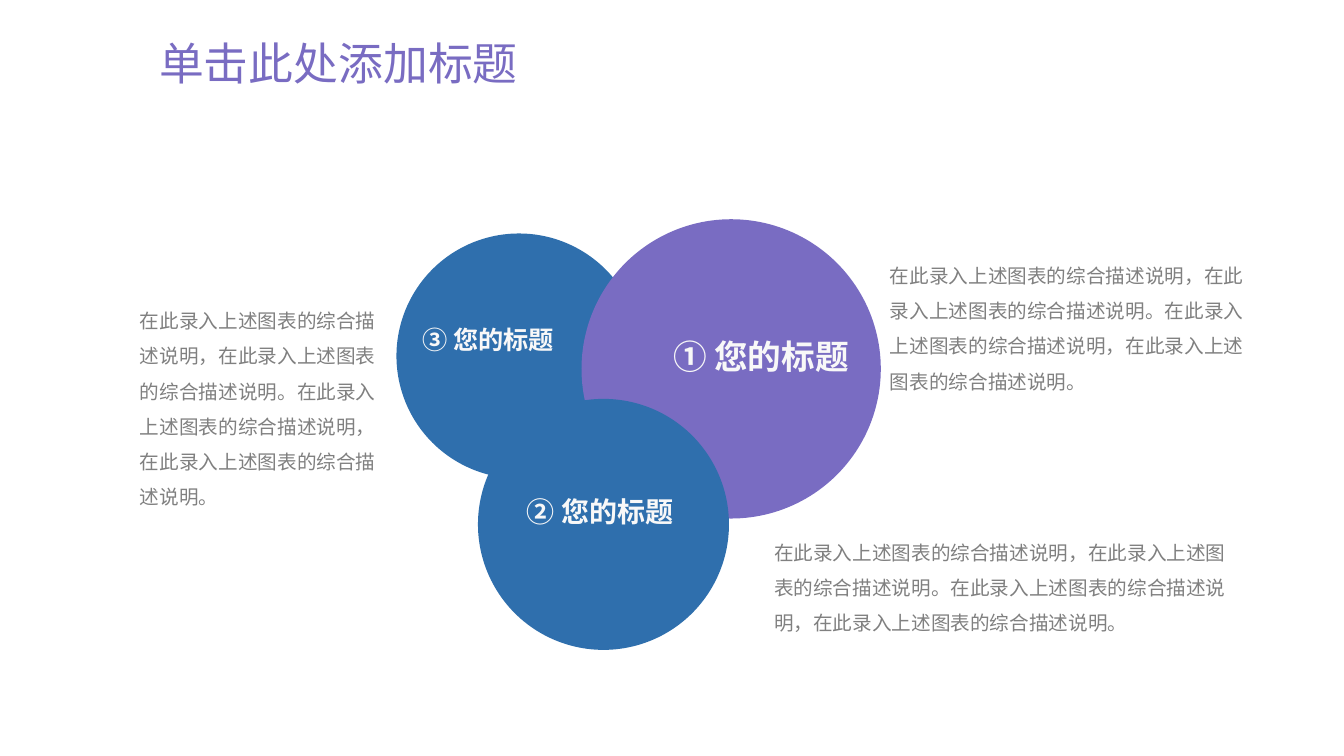
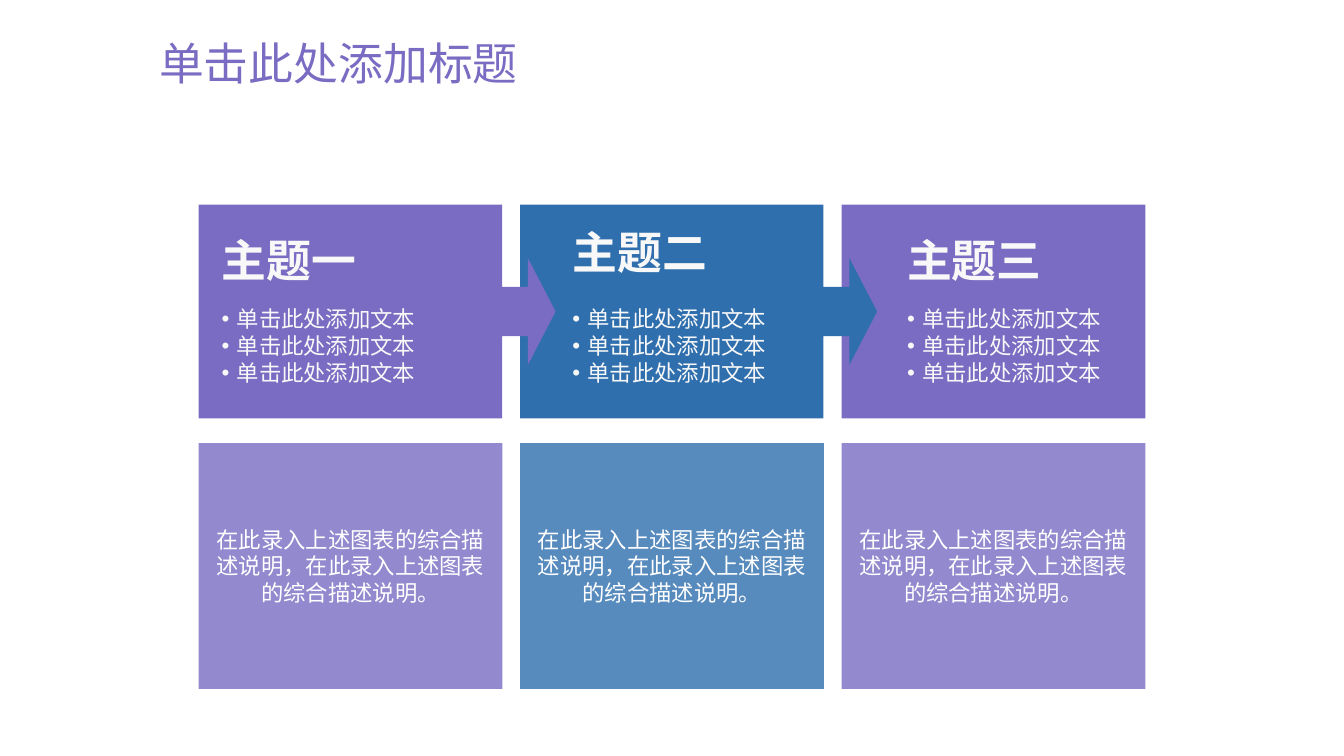
from lxml import etree
from pptx import Presentation
from pptx.dml.color import RGBColor
from pptx.enum.shapes import MSO_SHAPE
from pptx.enum.text import MSO_ANCHOR, PP_ALIGN
from pptx.oxml.ns import qn
from pptx.util import Pt

OVAL, RECTANGLE = MSO_SHAPE.OVAL, MSO_SHAPE.RECTANGLE
CALLOUT = MSO_SHAPE.RIGHT_ARROW_CALLOUT
TOP, MIDDLE = MSO_ANCHOR.TOP, MSO_ANCHOR.MIDDLE
LEFT, CENTER, RIGHT = PP_ALIGN.LEFT, PP_ALIGN.CENTER, PP_ALIGN.RIGHT

# Shared look
PURPLE, BLUE, GREY = "796CC2", "2F6FAD", "808080"
WHITE, OFF_WHITE = "FFFFFF", "F8F8F8"
CJK = "Noto Sans CJK SC"
TITLE = {"name": "Montserrat", "size": Pt(32), "color": PURPLE}
NOTE = {"name": "Arial", "size": Pt(14), "color": GREY}
HEADING = {"name": CJK, "size": Pt(32), "bold": True, "color": OFF_WHITE}
ITEM = {"name": CJK, "size": Pt(16), "color": OFF_WHITE}
PANEL = {"name": CJK, "size": Pt(16), "color": WHITE}
SENTENCE = "在此录入上述图表的综合描述说明，在此录入上述图表的综合描述说明。"


def add_solid(page, kind, place, color, opacity=100):
    shape = page.shapes.add_shape(kind, *[Pt(value) for value in place])
    shape.shadow.inherit = False
    shape.fill.solid()
    shape.fill.fore_color.rgb = RGBColor.from_string(color)
    shape.line.fill.background()
    if opacity < 100:
        tint = shape.fill._xPr.find(".//" + qn("a:srgbClr"))
        etree.SubElement(tint, qn("a:alpha"), val=str(opacity * 1000))
    return shape


def write(box, lines, style, align=LEFT, anchor=TOP, spacing=None, hanging=0, bullet=None):
    frame = box.text_frame
    frame.word_wrap = True
    frame.vertical_anchor = anchor
    for index, line in enumerate(lines):
        para = frame.paragraphs[0] if index == 0 else frame.add_paragraph()
        para.alignment = align
        para.line_spacing = spacing
        if hanging:
            properties = para._p.get_or_add_pPr()
            properties.set("marL", str(Pt(hanging)))
            properties.set("indent", str(-Pt(hanging)))
            if bullet:
                etree.SubElement(properties, qn("a:buFont"), typeface="Arial")
                etree.SubElement(properties, qn("a:buChar"), char=bullet)
        span = para.add_run()
        span.text = line
        for name, value in style.items():
            if name == "color":
                span.font.color.rgb = RGBColor.from_string(value)
            else:
                setattr(span.font, name, value)
        etree.SubElement(span._r.get_or_add_rPr(), qn("a:ea"), typeface=CJK)


deck = Presentation()
deck.slide_width, deck.slide_height = Pt(960), Pt(540)
blank = deck.slide_layouts[6]
circles_page, topics_page = [deck.slides.add_slide(blank) for _ in range(2)]

# Titles
for page in (circles_page, topics_page):
    box = page.shapes.add_textbox(Pt(106.6), Pt(26), Pt(828), Pt(42.5))
    write(box, ["单击此处添加标题"], TITLE, anchor=MIDDLE, spacing=0.9)

# Overlapping circles: left, top, diameter
for left, top, diameter, color in [
    (283.2, 166.8, 175, BLUE),
    (415.4, 156.6, 213.8, PURPLE),
    (341.4, 284.9, 179.3, BLUE),
]:
    add_solid(circles_page, OVAL, (left, top, diameter, diameter), color)

# Circle labels
for text, place, size, align in [
    ("② 您的标题", (341.3, 349.9, 175, 31.5), 20, CENTER),
    ("③ 您的标题", (294.5, 228.2, 158.4, 29), 18, LEFT),
    ("① 您的标题", (399.6, 236.2, 213.8, 36), 24, RIGHT),
]:
    box = circles_page.shapes.add_textbox(*[Pt(value) for value in place])
    write(box, [text], {**HEADING, "size": Pt(size)}, align)

# Notes around the circles
for place in [
    (628.6, 176.4, 271.4, 108.7),
    (545.8, 374.4, 349.9, 83.5),
    (92.9, 208.8, 190, 160),
]:
    box = circles_page.shapes.add_textbox(*[Pt(value) for value in place])
    write(box, [SENTENCE * 2], NOTE, spacing=1.5)

# Topic columns, last one first so that each arrow lies over the next column
topics = [
    ("主题一", PURPLE, 151.2, 162.7),
    ("主题二", BLUE, 401.8, 157),
    ("主题三", PURPLE, 640.8, 162.7),
]
last = len(topics) - 1
for column in range(last, -1, -1):
    heading, color, text_left, heading_top = topics[column]
    left = 141.9 + 229.6 * column
    if column == last:
        add_solid(topics_page, RECTANGLE, (left, 146.2, 217, 152.6), color)
    else:
        callout = add_solid(topics_page, CALLOUT, (left, 146.2, 255, 152.6), color)
        for index, value in enumerate((0.23, 0.25, 0.13, 0.85)):
            callout.adjustments[index] = value
    box = topics_page.shapes.add_textbox(Pt(text_left), Pt(heading_top), Pt(202.3), Pt(46))
    write(box, [heading], HEADING, hanging=10.8)
    box = topics_page.shapes.add_textbox(Pt(text_left), Pt(214.6), Pt(202.3), Pt(65.5))
    write(box, ["单击此处添加文本"] * 3, ITEM, hanging=10.8, bullet="•")
    panel = add_solid(topics_page, RECTANGLE, (left, 316.5, 217, 175.7), color, opacity=80)
    write(panel, [SENTENCE], PANEL, CENTER, MIDDLE)

deck.save("out.pptx")
